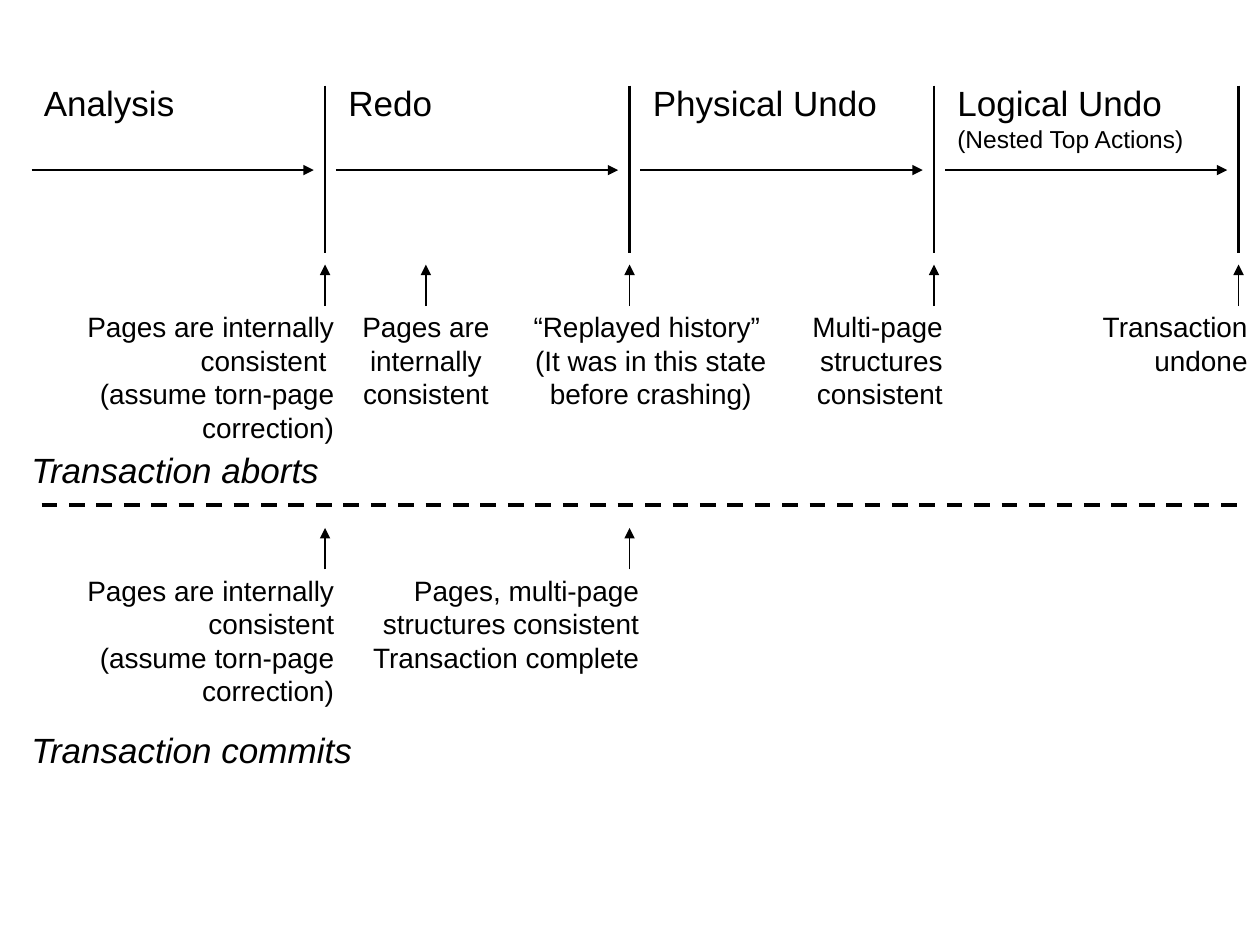
import pptx
import pptx.dml.color
import pptx.enum.dml
import pptx.enum.shapes
import pptx.enum.text
import pptx.oxml.ns
import pptx.util
from lxml import etree

BLACK = pptx.dml.color.RGBColor(0, 0, 0)
FONT = "Arial"
LEFT = pptx.enum.text.PP_ALIGN.LEFT
CENTER = pptx.enum.text.PP_ALIGN.CENTER
RIGHT = pptx.enum.text.PP_ALIGN.RIGHT

# Column grid: the right edge of each recovery phase
FIRST_EDGE, LAST_EDGE = 2.58, 9.83
PHASES = ["Analysis", "Redo", "Physical Undo", "Logical Undo\n(Nested Top Actions)"]
PITCH = (LAST_EDGE - FIRST_EDGE) / (len(PHASES) - 1)
EDGES = [FIRST_EDGE + PITCH * column for column in range(len(PHASES))]

# Rows
PHASE_TOP, PHASE_ARROW, PHASE_BOTTOM = 0.68, 1.35, 2.01
ABORT_ROW, COMMIT_ROW, DIVIDER = 2.41, 4.5, 4.01
POINTER_LENGTH = 0.33

# Notes: left, width, alignment, text
ABORT_NOTES = [
    (0.5, 2.25, RIGHT, "Pages are internally consistent \n(assume torn-page correction)"),
    (2.67, 1.42, CENTER, "Pages are internally consistent"),
    (4, 2.33, CENTER, "“Replayed history” \n(It was in this state before crashing)"),
    (6.08, 1.5, RIGHT, "Multi-page structures consistent"),
    (8.17, 1.83, RIGHT, "Transaction undone"),
]
COMMIT_NOTES = [
    (0, 2.75, RIGHT, "Pages are internally consistent\n(assume torn-page correction)"),
    (2.75, 2.42, RIGHT, "Pages, multi-page structures consistent\nTransaction complete"),
]
REDO_POINTER = 3.38


def add_line(page, start, end, weight, arrow=False, dashed=False):
    points = [pptx.util.Inches(value) for value in (*start, *end)]
    line = page.shapes.add_connector(pptx.enum.shapes.MSO_CONNECTOR.STRAIGHT, *points)
    line.line.color.rgb = BLACK
    line.line.width = pptx.util.Pt(weight)
    if dashed:
        line.line.dash_style = pptx.enum.dml.MSO_LINE.DASH
    if arrow:
        outline = line.line._get_or_add_ln()
        etree.SubElement(outline, pptx.oxml.ns.qn("a:tailEnd"), type="triangle")
    etree.SubElement(line._element.spPr, pptx.oxml.ns.qn("a:effectLst"))


def add_text(page, left, top, width, height, text, sizes, align=LEFT, italic=False, wrap=True):
    """Sizes holds one point size per paragraph; the last one repeats."""
    box = page.shapes.add_textbox(*(pptx.util.Inches(v) for v in (left, top, width, height)))
    frame = box.text_frame
    frame.word_wrap = wrap
    frame.text = text
    for index, para in enumerate(frame.paragraphs):
        para.alignment = align
        for span in para.runs:
            span.font.name = FONT
            span.font.size = pptx.util.Pt(sizes[min(index, len(sizes) - 1)])
            span.font.italic = italic
            span.font.color.rgb = BLACK


def add_phase(page, edge, label):
    left = edge - 2.33
    add_line(page, (edge, PHASE_TOP), (edge, PHASE_BOTTOM), 1.5)
    add_line(page, (left, PHASE_ARROW), (edge - 0.09, PHASE_ARROW), 1.5, arrow=True)
    add_text(page, left, 0.6, 2.17, 0.67 if "\n" in label else 0.44, label, [20, 14])


def add_outcome(page, row, notes, pointers):
    for left, width, align, text in notes:
        add_text(page, left, row, width, 0.9, text, [16], align)
    base = row + 0.02
    for x in pointers:
        add_line(page, (x, base), (x, base - POINTER_LENGTH), 0.74, arrow=True)


def add_heading(page, top, width, text):
    add_text(page, 0.15, top, width, 0.44, text, [20], italic=True, wrap=False)


def main():
    deck = pptx.Presentation()
    deck.slide_width = pptx.util.Inches(10)
    deck.slide_height = pptx.util.Inches(7.5)
    page = deck.slides.add_slide(deck.slide_layouts[6])

    # Recovery phases
    for edge, label in zip(EDGES, PHASES):
        add_phase(page, edge, label)

    # State after each phase, by outcome
    add_outcome(page, ABORT_ROW, ABORT_NOTES, EDGES + [REDO_POINTER])
    add_outcome(page, COMMIT_ROW, COMMIT_NOTES, EDGES[:2])

    # Divider and outcome headings
    add_line(page, (0.33, DIVIDER), (LAST_EDGE, DIVIDER), 2.24, dashed=True)
    add_heading(page, 3.51, 2.5, "Transaction aborts")
    add_heading(page, 5.73, 2.76, "Transaction commits")

    deck.save("out.pptx")


main()
